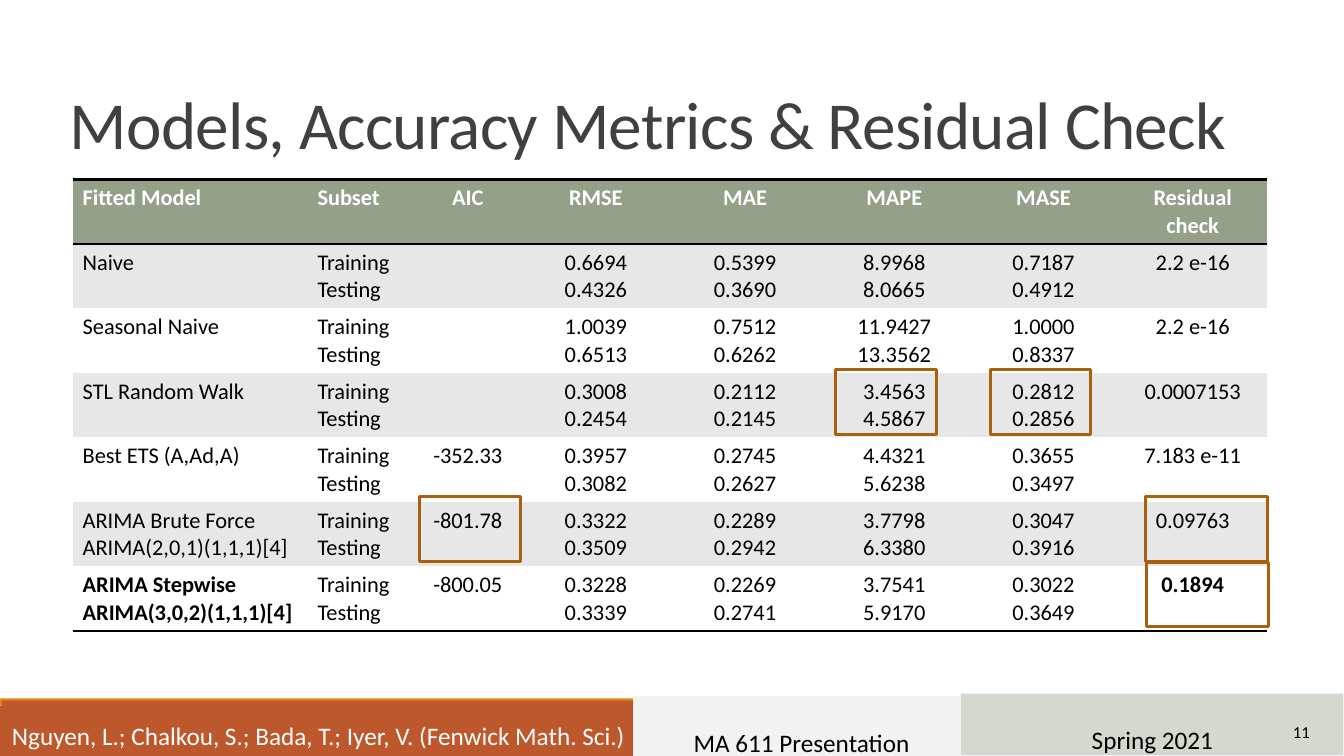
from lxml.etree import SubElement
from pptx import Presentation
from pptx.dml.color import RGBColor
from pptx.enum.shapes import MSO_SHAPE as Shape
from pptx.enum.text import MSO_ANCHOR as Anchor, MSO_AUTO_SIZE as AutoSize, PP_ALIGN as Align
from pptx.oxml.ns import qn
from pptx.util import Inches, Pt

COLORS = {
    "white": "FFFFFF",
    "black": "000000",
    "title": "404040",
    "rust": "BD582C",
    "orange": "E48312",
    "pale": "F2F2F2",
    "sage": "D4D9CF",
    "header": "94A088",
    "band": "E7E7E7",
    "highlight": "A9610D",
}
FONT = "Calibri"
NO_TABLE_STYLE = "{2D5ABB26-0587-4C30-8999-92F81FD0307C}"
COLUMN_WIDTHS = [2.33, 1.06, 1.06] + [1.48] * 5
ROW_HEIGHT = 0.64
SUBSETS = "Training\nTesting"
HEADER = ["Fitted Model", "Subset", "AIC", "RMSE", "MAE", "MAPE", "MASE", "Residual check"]
MODELS = [
    ["Naive", SUBSETS, "", "0.6694\n0.4326", "0.5399\n0.3690",
     "8.9968\n8.0665", "0.7187\n0.4912", "2.2 e-16"],
    ["Seasonal Naive", SUBSETS, "", "1.0039\n0.6513", "0.7512\n0.6262",
     "11.9427\n13.3562", "1.0000\n0.8337", "2.2 e-16"],
    ["STL Random Walk", SUBSETS, "", "0.3008\n0.2454", "0.2112\n0.2145",
     "3.4563\n4.5867", "0.2812\n0.2856", "0.0007153"],
    ["Best ETS (A,Ad,A)", SUBSETS, "-352.33", "0.3957\n0.3082", "0.2745\n0.2627",
     "4.4321\n5.6238", "0.3655\n0.3497", "7.183 e-11"],
    ["ARIMA Brute Force\nARIMA(2,0,1)(1,1,1)[4]", SUBSETS, "-801.78", "0.3322\n0.3509",
     "0.2289\n0.2942", "3.7798\n6.3380", "0.3047\n0.3916", "0.09763"],
    ["ARIMA Stepwise\nARIMA(3,0,2)(1,1,1)[4]", SUBSETS, "-800.05", "0.3228\n0.3339",
     "0.2269\n0.2741", "3.7541\n5.9170", "0.3022\n0.3649", "0.1894"],
]
HIGHLIGHTS = [
    (9.82, 3.67, 1),
    (8.29, 3.67, 1),
    (11.37, 5.58, 1.21),
    (4.16, 4.93, 1),
    (11.36, 4.93, 1.21),
]


def rgb(name):
    return RGBColor.from_string(COLORS[name])


def style_paragraph(paragraph, size, color, align=Align.LEFT, bold=False):
    paragraph.alignment = align
    paragraph.font.name = FONT
    paragraph.font.size = Pt(size)
    paragraph.font.bold = bold
    paragraph.font.color.rgb = rgb(color)


def add_box(slide, left, top, width, height, fill=None, line=None, line_width=0.75):
    shape = slide.shapes.add_shape(
        Shape.RECTANGLE, Inches(left), Inches(top), Inches(width), Inches(height))
    shape.shadow.inherit = False
    if fill:
        shape.fill.solid()
        shape.fill.fore_color.rgb = rgb(fill)
    else:
        shape.fill.background()
    if line:
        shape.line.color.rgb = rgb(line)
        shape.line.width = Pt(line_width)
    else:
        shape.line.fill.background()
    return shape


def add_footer_label(shape, text, color, align, anchor, spacing):
    frame = shape.text_frame
    frame.word_wrap = True
    frame.auto_size = AutoSize.SHAPE_TO_FIT_TEXT
    frame.vertical_anchor = anchor
    frame.text = text
    paragraph = frame.paragraphs[0]
    style_paragraph(paragraph, 18, color, align)
    paragraph.line_spacing = spacing


def add_footer(slide):
    add_box(slide, 0, 7, 13.33, 0.5, "rust")
    add_box(slide, 0, 6.93, 13.33, 0.07, "orange")
    authors = add_box(slide, 0.02, 6.95, 6.35, 0.51, "rust")
    add_footer_label(authors, "Nguyen, L.; Chalkou, S.; Bada, T.; Iyer, V. (Fenwick Math. Sci.)",
                     "white", Align.LEFT, Anchor.TOP, 1.5)
    course = add_box(slide, 6.28, 6.91, 3.34, 0.62, "pale", "pale")
    add_footer_label(course, "MA 611 Presentation", "black", Align.CENTER, Anchor.MIDDLE, 2.0)
    term = add_box(slide, 9.53, 6.88, 3.8, 0.62, "sage", "pale")
    add_footer_label(term, "Spring 2021", "black", Align.CENTER, Anchor.MIDDLE, 2.0)


def add_title(slide, text):
    title = slide.shapes.title
    title.left, title.top = Inches(0.59), Inches(0.45)
    title.width, title.height = Inches(11.97), Inches(1.22)
    frame = title.text_frame
    frame.text = text
    frame.word_wrap = True
    frame.auto_size = AutoSize.NONE
    frame.vertical_anchor = Anchor.BOTTOM
    paragraph = frame.paragraphs[0]
    style_paragraph(paragraph, 48, "title")
    paragraph.line_spacing = 0.85
    paragraph.runs[0]._r.get_or_add_rPr().set("spc", "-50")


def add_border(cell, side):
    line = SubElement(cell._tc.get_or_add_tcPr(), qn(f"a:{side}"), w=str(Pt(2)))
    fill = SubElement(line, qn("a:solidFill"))
    SubElement(fill, qn("a:srgbClr"), val=COLORS["black"])


def fill_cell(cell, text, fill, color, align, bold, borders):
    for side in borders:
        add_border(cell, side)
    cell.fill.solid()
    cell.fill.fore_color.rgb = rgb(fill)
    cell.text = text
    for paragraph in cell.text_frame.paragraphs:
        style_paragraph(paragraph, 16, color, align, bold)


def add_metrics_table(slide):
    rows = [HEADER] + MODELS
    last_row, last_column = len(rows) - 1, len(HEADER) - 1
    frame = slide.shapes.add_table(
        len(rows), len(HEADER), Inches(0.72), Inches(1.78),
        Inches(sum(COLUMN_WIDTHS)), Inches(ROW_HEIGHT * len(rows)))
    table = frame.table
    table._tbl.tblPr.find(qn("a:tableStyleId")).text = NO_TABLE_STYLE
    for column, width in zip(table.columns, COLUMN_WIDTHS):
        column.width = Inches(width)
    for r, row in enumerate(rows):
        table.rows[r].height = Inches(ROW_HEIGHT)
        fill = "header" if r == 0 else "band" if r % 2 else "white"
        color = "white" if r == 0 else "black"
        borders = {0: ["lnT", "lnB"], last_row: ["lnB"]}.get(r, [])
        for c, text in enumerate(row):
            align = Align.LEFT if c < 2 else Align.CENTER
            bold = r == 0 or (r == last_row and c in (0, last_column))
            fill_cell(table.cell(r, c), text, fill, color, align, bold, borders)


def add_slide_number(slide, number):
    box = slide.shapes.add_textbox(Inches(11.66), Inches(7.06), Inches(1.43), Inches(0.4))
    frame = box.text_frame
    frame.word_wrap = True
    frame.vertical_anchor = Anchor.MIDDLE
    frame.text = number
    style_paragraph(frame.paragraphs[0], 12, "black", Align.RIGHT)


def main():
    presentation = Presentation()
    presentation.slide_width = Inches(13.33)
    presentation.slide_height = Inches(7.5)
    slide = presentation.slides.add_slide(presentation.slide_layouts[5])
    add_footer(slide)
    add_title(slide, "Models, Accuracy Metrics & Residual Check")
    add_metrics_table(slide)
    add_slide_number(slide, "11")
    for left, top, width in HIGHLIGHTS:
        add_box(slide, left, top, width, ROW_HEIGHT, line="highlight", line_width=2.25)
    presentation.save("out.pptx")


if __name__ == "__main__":
    main()
